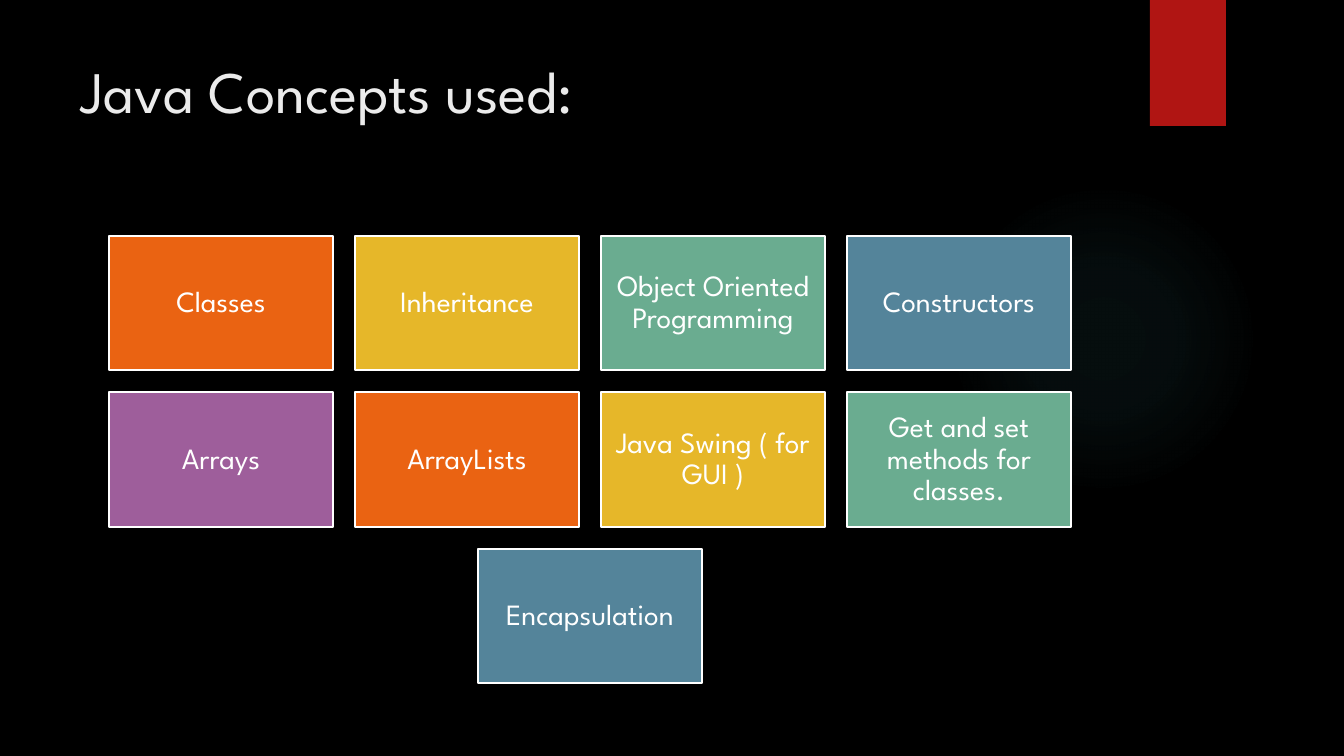
from lxml.etree import SubElement
from pptx import Presentation
from pptx.dml.color import RGBColor
from pptx.enum.shapes import MSO_SHAPE
from pptx.enum.text import MSO_ANCHOR, PP_ALIGN
from pptx.oxml.ns import qn
from pptx.util import Pt

EMU_PER_PIXEL = 12192000 / 1344
FONT = "League Spartan"
ORANGE, YELLOW, GREEN, BLUE, PURPLE = "EA6312", "E6B729", "6AAC90", "54849A", "9E5E9B"
CONCEPTS = [
    ("Classes", ORANGE),
    ("Inheritance", YELLOW),
    ("Object Oriented Programming", GREEN),
    ("Constructors", BLUE),
    ("Arrays", PURPLE),
    ("ArrayLists", ORANGE),
    ("Java Swing ( for GUI )", YELLOW),
    ("Get and set methods for classes.", GREEN),
    ("Encapsulation", BLUE),
]


def px(length):
    return round(length * EMU_PER_PIXEL)


def color(code):
    return RGBColor.from_string(code)


def add_text(shape, text, size, fill="FFFFFF", align=PP_ALIGN.LEFT,
             anchor=MSO_ANCHOR.TOP, insets=(10, 5), spacing=1.0):
    frame = shape.text_frame
    frame.word_wrap = True
    frame.vertical_anchor = anchor
    frame.margin_left = frame.margin_right = px(insets[0])
    frame.margin_top = frame.margin_bottom = px(insets[1])
    para = frame.paragraphs[0]
    para.alignment = align
    para.line_spacing = spacing
    span = para.add_run()
    span.text = text
    span.font.name = FONT
    span.font.size = Pt(size)
    span.font.color.rgb = color(fill)


def add_box(page, kind, box, fill=None, line=None):
    shape = page.shapes.add_shape(kind, *map(px, box))
    shape.shadow.inherit = False
    if fill:
        shape.fill.solid()
        shape.fill.fore_color.rgb = color(fill)
    if line:
        shape.line.color.rgb = color(line)
        shape.line.width = Pt(1.5)
    else:
        shape.line.fill.background()
    return shape


def add_glow(page, box, tint, stops):
    glow = add_box(page, MSO_SHAPE.OVAL, box)
    glow.fill.gradient()
    gradient = glow.element.spPr.find(qn("a:gradFill"))
    for child in list(gradient):
        gradient.remove(child)
    stop_list = SubElement(gradient, qn("a:gsLst"))
    for position, opacity in stops:
        stop = SubElement(stop_list, qn("a:gs"), pos=str(position * 1000))
        tone = SubElement(stop, qn("a:srgbClr"), val=tint)
        SubElement(tone, qn("a:alpha"), val=str(opacity * 1000))
    route = SubElement(gradient, qn("a:path"), path="circle")
    SubElement(route, qn("a:fillToRect"), l="50000", t="50000", r="50000", b="50000")


def add_backdrop(page, width):
    page.background.fill.solid()
    page.background.fill.fore_color.rgb = color("000000")
    add_glow(page, (width - 395, 184, 310, 310), "50B9C1", [(0, 7), (36, 6), (69, 0)])
    add_box(page, MSO_SHAPE.RECTANGLE, (width - 194, 0, 76, 126), "B01513")


def add_title(page, box, text):
    title = page.shapes.add_textbox(*map(px, box))
    add_text(title, text, 42, fill="EBEBEB")


def add_concept_grid(page, box, concepts, columns=4, gap=22):
    left, top, width, height = box
    rows = -(-len(concepts) // columns)
    tile_width = (width - gap * (columns - 1)) / columns
    tile_height = (height - gap * (rows - 1)) / rows
    for row in range(rows):
        members = concepts[row * columns:(row + 1) * columns]
        indent = (columns - len(members)) * (tile_width + gap) / 2
        for column, (label, fill) in enumerate(members):
            place = (left + indent + column * (tile_width + gap),
                     top + row * (tile_height + gap), tile_width, tile_height)
            tile = add_box(page, MSO_SHAPE.RECTANGLE, place, fill, line="FFFFFF")
            add_text(tile, label, 21, align=PP_ALIGN.CENTER,
                     anchor=MSO_ANCHOR.MIDDLE, insets=(9, 9), spacing=0.9)


def main():
    deck = Presentation()
    deck.slide_width, deck.slide_height = px(1344), px(756)
    page = deck.slides.add_slide(deck.slide_layouts[6])
    add_backdrop(page, 1344)
    add_title(page, (71, 50, 1037, 154), "Java Concepts used:")
    add_concept_grid(page, (109, 236, 962, 447), CONCEPTS)
    deck.save("out.pptx")


if __name__ == "__main__":
    main()
